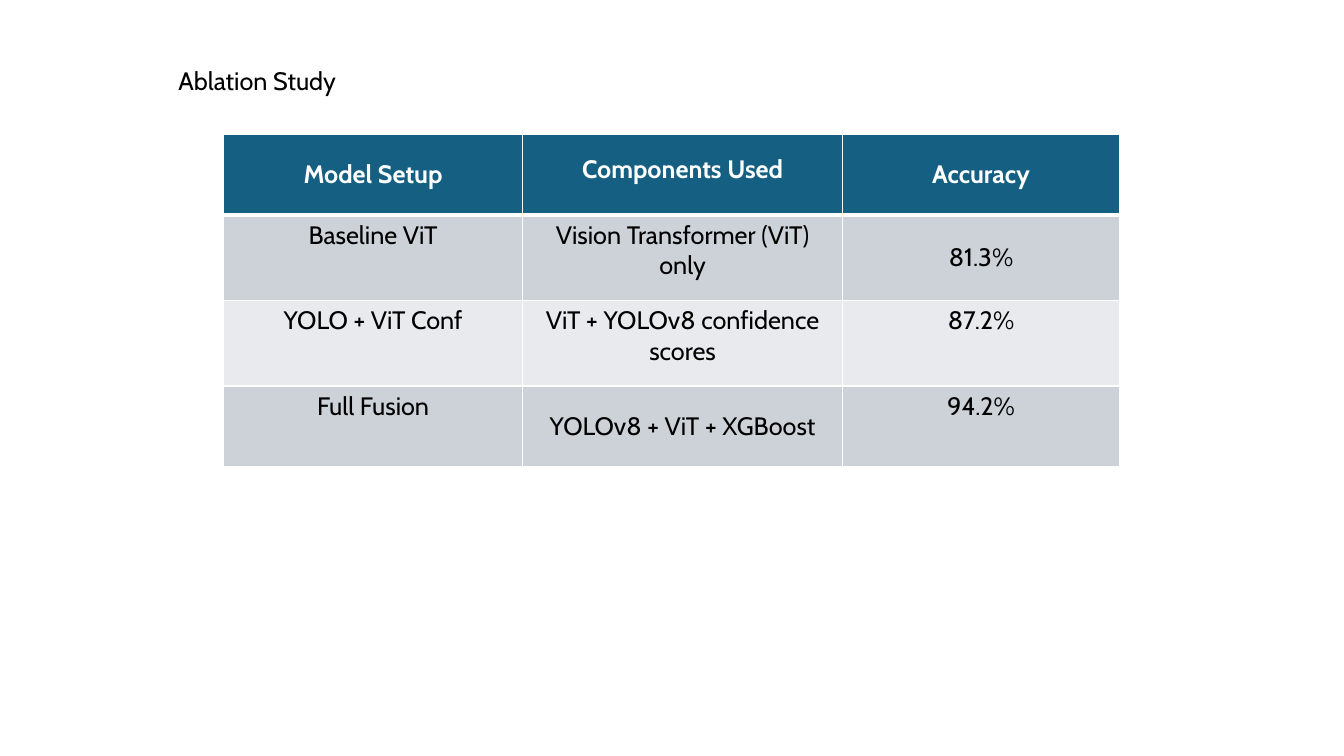
import pptx
import pptx.dml.color
import pptx.enum.text
import pptx.oxml.ns
import pptx.util
import lxml.etree

Inches = pptx.util.Inches
Pt = pptx.util.Pt
ALIGN = pptx.enum.text.PP_ALIGN
ANCHOR = pptx.enum.text.MSO_ANCHOR


def colour(hex_text):
    return pptx.dml.color.RGBColor.from_string(hex_text)


class AblationPage:
    """Hold the style and the current slide, and add its title and table."""

    font = "Cabin"
    size = 18
    black = "000000"
    white = "FFFFFF"
    header_fill = "156082"
    band_fills = ("CCD2D8", "E8EAED")

    def __init__(self, deck):
        self.page = deck.slides.add_slide(deck.slide_layouts[5])

    def set_text(self, frame, text, hex_text, align, bold=False, spacing=1.0):
        frame.text = text
        para = frame.paragraphs[0]
        para.alignment = align
        para.line_spacing = spacing
        para.font.name = self.font
        para.font.size = Pt(self.size)
        para.font.bold = bold
        para.font.color.rgb = colour(hex_text)

    def title(self, text, left, top, width, height):
        box = self.page.shapes.title
        box.left, box.top = Inches(left), Inches(top)
        box.width, box.height = Inches(width), Inches(height)
        frame = box.text_frame
        frame.word_wrap = True
        frame.auto_size = pptx.enum.text.MSO_AUTO_SIZE.NONE
        frame.vertical_anchor = ANCHOR.BOTTOM
        self.set_text(frame, text, self.black, ALIGN.LEFT, spacing=0.9)

    def borders(self, cell, widths):
        properties = cell._tc.get_or_add_tcPr()
        for side, width in widths.items():
            line = lxml.etree.SubElement(
                properties, pptx.oxml.ns.qn(f"a:ln{side}"), w=str(Pt(width)))
            fill = lxml.etree.SubElement(line, pptx.oxml.ns.qn("a:solidFill"))
            lxml.etree.SubElement(
                fill, pptx.oxml.ns.qn("a:srgbClr"), val=self.white)

    def table(self, rows, left, top, widths, heights, middle, loose):
        table = self.page.shapes.add_table(
            len(rows), len(widths), Inches(left), Inches(top),
            Inches(sum(widths)), Inches(sum(heights))).table
        for column, width in zip(table.columns, widths):
            column.width = Inches(width)
        for row, height in zip(table.rows, heights):
            row.height = Inches(height)
        for r, texts in enumerate(rows):
            header = r == 0
            for c, text in enumerate(texts):
                cell = table.cell(r, c)
                self.borders(cell, {"L": 1, "R": 1, "T": 3 if r == 1 else 1,
                                    "B": 3 if header else 1})
                cell.fill.solid()
                cell.fill.fore_color.rgb = colour(
                    self.header_fill if header else self.band_fills[(r - 1) % 2])
                cell.vertical_anchor = (
                    ANCHOR.MIDDLE if (r, c) in middle else ANCHOR.TOP)
                self.set_text(cell.text_frame, text,
                              self.white if header else self.black, ALIGN.CENTER,
                              bold=header, spacing=1.5 if (r, c) in loose else 1.0)


def main():
    deck = pptx.Presentation()
    deck.slide_width, deck.slide_height = Inches(13.33), Inches(7.5)
    page = AblationPage(deck)
    page.title("Ablation Study", 1.67, 0.48, 10, 0.52)
    page.table(
        [("Model Setup", "Components Used", "Accuracy"),
         ("Baseline ViT", "Vision Transformer (ViT) only", "81.3%"),
         ("YOLO + ViT Conf", "ViT + YOLOv8 confidence scores", "87.2%"),
         ("Full Fusion", "YOLOv8 + ViT + XGBoost", "94.2%")],
        2.22, 1.33, (2.96, 3.18, 2.74), (0.8, 0.85, 0.85, 0.8),
        middle={(0, 0), (0, 2), (1, 2), (3, 1)}, loose={(0, 1)})
    deck.save("out.pptx")


if __name__ == "__main__":
    main()
